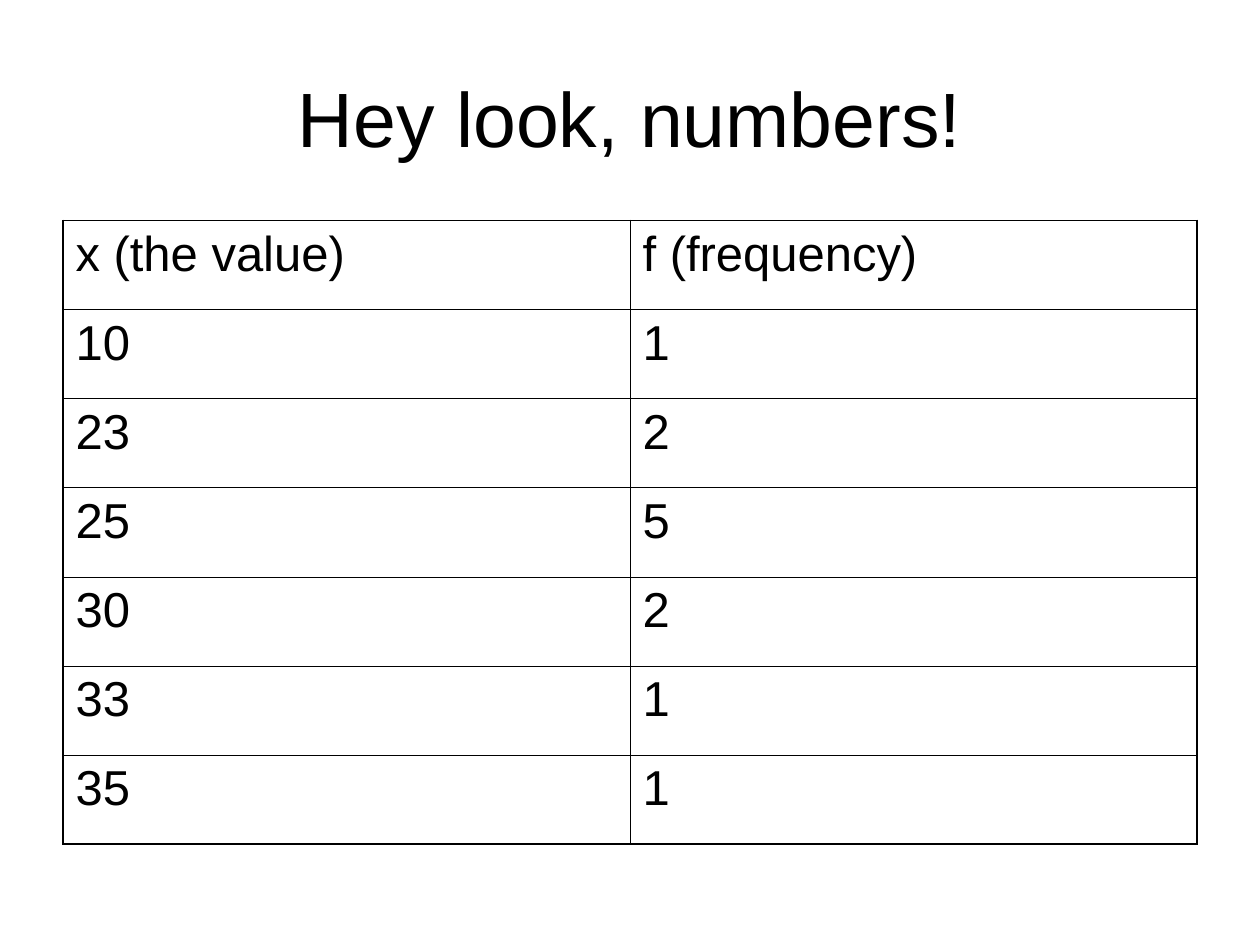
from lxml import etree
from pptx import Presentation
from pptx.dml.color import RGBColor
from pptx.enum.text import MSO_ANCHOR, PP_ALIGN
from pptx.oxml.ns import qn
from pptx.util import Inches, Pt

MIDDLE, TOP = MSO_ANCHOR.MIDDLE, MSO_ANCHOR.TOP
CENTER, LEFT = PP_ALIGN.CENTER, PP_ALIGN.LEFT

# Content
TITLE = "Hey look, numbers!"
FREQUENCIES = [
    ("x (the value)", "f (frequency)"),
    ("10", "1"),
    ("23", "2"),
    ("25", "5"),
    ("30", "2"),
    ("33", "1"),
    ("35", "1"),
]

# Format
COLORS = {"text": "000000", "border": "000000"}
TITLE_FONT = {"name": "Arial", "size": Pt(44), "bold": False}
CELL_FONT = {"name": "Arial", "size": Pt(28), "bold": False}
TITLE_PARA = {"alignment": CENTER}
CELL_PARA = {"alignment": LEFT, "space_before": Pt(7)}
MARGINS = {
    "margin_left": Inches(0.1), "margin_right": Inches(0.1),
    "margin_top": Inches(0.05), "margin_bottom": Inches(0.05),
}
OUTER_LINE, INNER_LINE = Pt(1.08), Pt(0.45)
SIDE, WIDTH = 0.5, 9
TABLE_TOP, TABLE_HEIGHT = 1.75, 4.95


def set_all(target, values):
    for name, value in values.items():
        setattr(target, name, value)


def write(frame, text, para_format, font_format):
    para = frame.paragraphs[0]
    set_all(para, para_format)
    span = para.add_run()
    span.text = text
    set_all(span.font, font_format)
    span.font.color.rgb = RGBColor.from_string(COLORS["text"])


def draw_borders(cell, outer_sides):
    properties = cell._tc.get_or_add_tcPr()
    for index, (tag, is_outer) in enumerate(outer_sides.items()):
        width = OUTER_LINE if is_outer else INNER_LINE
        line = etree.Element(qn(tag), w=str(int(width)))
        fill = etree.SubElement(line, qn("a:solidFill"))
        etree.SubElement(fill, qn("a:srgbClr"), val=COLORS["border"])
        properties.insert(index, line)


deck = Presentation()
deck.slide_width, deck.slide_height = Inches(10), Inches(7.5)
page = deck.slides.add_slide(deck.slide_layouts[6])

# Title
box = page.shapes.add_textbox(Inches(SIDE), Inches(0.3), Inches(WIDTH), Inches(1.25))
set_all(box.text_frame, MARGINS | {"word_wrap": True, "vertical_anchor": MIDDLE})
write(box.text_frame, TITLE, TITLE_PARA, TITLE_FONT)

# Frequency table
row_count, column_count = len(FREQUENCIES), len(FREQUENCIES[0])
table = page.shapes.add_table(
    row_count, column_count,
    Inches(SIDE), Inches(TABLE_TOP), Inches(WIDTH), Inches(TABLE_HEIGHT),
).table
set_all(table, {"first_row": False, "horz_banding": False})

for row, values in enumerate(FREQUENCIES):
    for column, value in enumerate(values):
        cell = table.cell(row, column)
        set_all(cell, MARGINS | {"vertical_anchor": TOP})
        cell.fill.background()
        write(cell.text_frame, value, CELL_PARA, CELL_FONT)
        draw_borders(cell, {
            "a:lnL": column == 0,
            "a:lnR": column == column_count - 1,
            "a:lnT": row == 0,
            "a:lnB": row == row_count - 1,
        })

deck.save("out.pptx")
